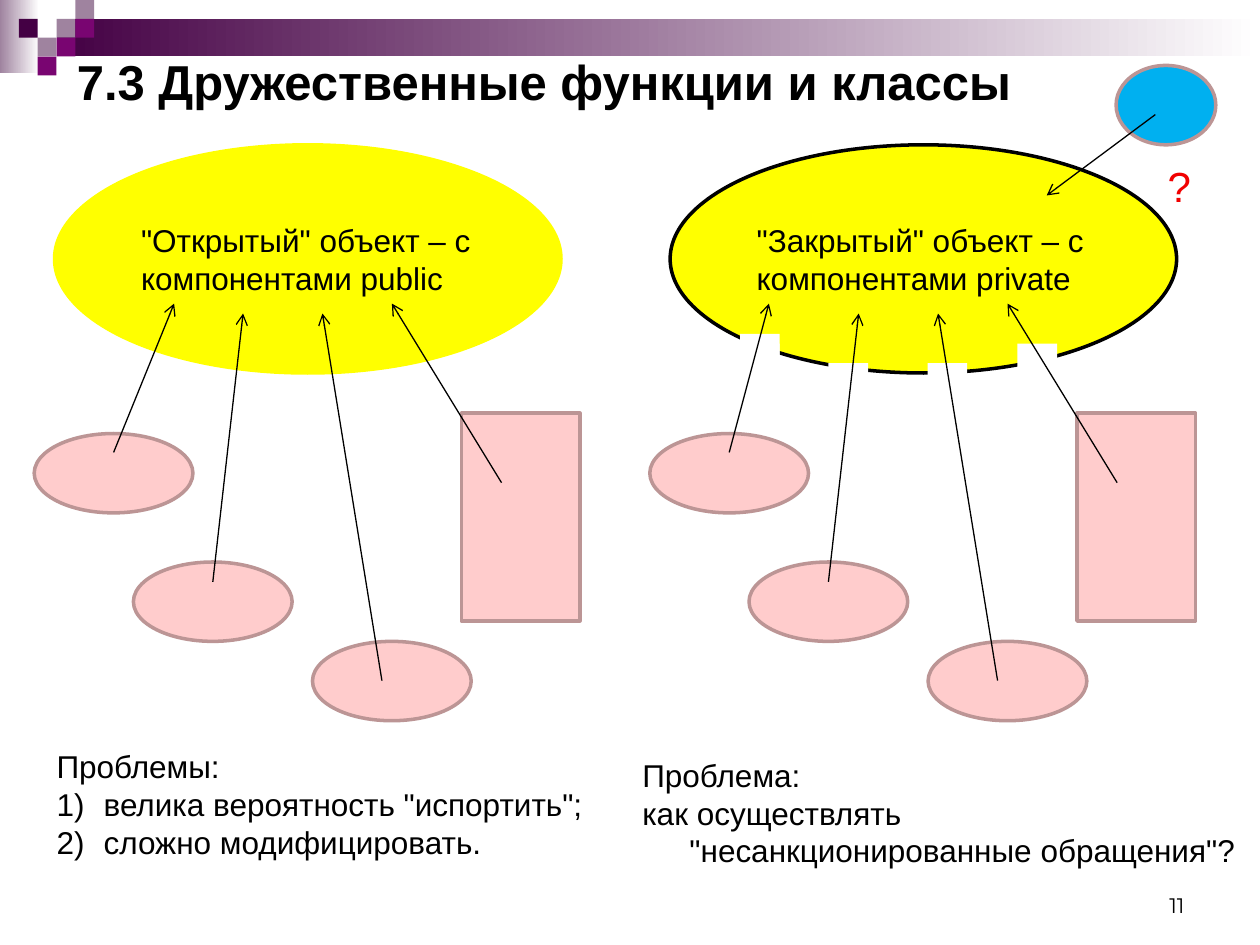
from lxml import etree
from pptx import Presentation
from pptx.dml.color import RGBColor
from pptx.enum.shapes import MSO_CONNECTOR, MSO_SHAPE
from pptx.enum.text import MSO_ANCHOR, PP_ALIGN
from pptx.oxml.ns import qn
from pptx.util import Cm, Pt

BLACK = RGBColor(0x00, 0x00, 0x00)
WHITE = RGBColor(0xFF, 0xFF, 0xFF)
YELLOW = RGBColor(0xFF, 0xFF, 0x00)
PINK = RGBColor(0xFF, 0xCC, 0xCC)
ROSE = RGBColor(0xBC, 0x95, 0x95)
BLUE = RGBColor(0x00, 0xB0, 0xF0)
RED = RGBColor(0xF1, 0x00, 0x00)
LILAC = RGBColor(0x9F, 0x83, 0x9F)
PLUM = RGBColor(0x79, 0x05, 0x71)
DARK = RGBColor(0x44, 0x00, 0x44)

RECT, OVAL = MSO_SHAPE.RECTANGLE, MSO_SHAPE.OVAL


def add_shape(s, kind, x, y, w, h, fill, line=None):
    """Add a flat preset shape; a fill of two colours is a left-to-right gradient."""
    sp = s.shapes.add_shape(kind, Cm(x), Cm(y), Cm(w), Cm(h))
    sp.shadow.inherit = False
    if isinstance(fill, RGBColor):
        sp.fill.solid()
        sp.fill.fore_color.rgb = fill
    else:
        sp.fill.gradient()
        sp.fill.gradient_angle = 0
        for stop, color, position in zip(sp.fill.gradient_stops, fill, (0, 1)):
            stop.color.rgb = color
            stop.position = position
    if line is None:
        sp.line.fill.background()
    else:
        sp.line.color.rgb = line
        sp.line.width = Pt(2)
    return sp


def add_arrow(s, x1, y1, x2, y2):
    """Add a thin black line with an open arrowhead at its end."""
    line = s.shapes.add_connector(MSO_CONNECTOR.STRAIGHT, Cm(x1), Cm(y1), Cm(x2), Cm(y2))
    line.line.color.rgb = BLACK
    line.line.width = Pt(0.75)
    etree.SubElement(line.line._get_or_add_ln(), qn("a:tailEnd"), type="arrow")
    etree.SubElement(line._element.spPr, qn("a:effectLst"))


def write(sp, lines, size=18, color=BLACK, font="Arial", bold=False,
          anchor=MSO_ANCHOR.TOP, align=PP_ALIGN.LEFT):
    """Fill a shape with formatted paragraphs."""
    tf = sp.text_frame
    tf.word_wrap = True
    tf.vertical_anchor = anchor
    tf.text = "\n".join(lines)
    for p in tf.paragraphs:
        p.alignment = align
        for r in p.runs:
            r.font.size, r.font.name, r.font.bold = Pt(size), font, bold
            r.font.color.rgb = color
    return tf


def add_text(s, x, y, w, h, lines, **style):
    """Add a text box and return its text frame."""
    return write(s.shapes.add_textbox(Cm(x), Cm(y), Cm(w), Cm(h)), lines, **style)


def add_banner(s, x, y):
    """Draw the gradient bars and the mosaic of squares at the top of the slide."""
    add_shape(s, RECT, x, y, 0.79, 1.47, (LILAC, WHITE))
    add_shape(s, RECT, x + 1.14, y + 0.38, 24.26, 0.76, (DARK, WHITE))
    side = 0.38
    squares = ((3, 1, LILAC), (4, 0, LILAC), (4, 1, PLUM), (2, 2, LILAC),
               (1, 1, DARK), (3, 2, PLUM), (2, 3, PLUM))
    for col, row, color in squares:
        add_shape(s, RECT, x + col * side, y + row * side, side, side, color)


def add_diagram(s, x, y, label, outline, first_tip, gaps=()):
    """Draw an object, the gaps in its outline and the four clients that access it."""
    sp = add_shape(s, OVAL, x + 0.41, y, 10.21, 4.6, YELLOW, outline)
    write(sp, [label], anchor=MSO_ANCHOR.MIDDLE)
    for dx, dy in gaps:
        add_shape(s, RECT, x + dx, y + dy, 0.8, 0.6, WHITE)
    for dx, dy in ((0, 5.82), (2, 8.41), (5.61, 10.01)):
        add_shape(s, OVAL, x + dx, y + dy, 3.2, 1.6, PINK, ROSE)
    add_shape(s, RECT, x + 8.61, y + 5.41, 2.39, 4.19, PINK, ROSE)
    arrows = ((1.6, 6.2, first_tip, 3.2), (3.6, 8.81, 4.21, 3.4),
              (7.01, 10.8, 5.81, 3.4), (9.42, 6.81, 7.21, 3.2))
    for x1, y1, x2, y2 in arrows:
        add_arrow(s, x + x1, y + y1, x + x2, y + y2)


def add_outsider(s, x, y):
    """Draw the blue outsider, its questionable access and the question mark."""
    add_shape(s, OVAL, x, y, 2.01, 1.6, BLUE, ROSE)
    add_arrow(s, x + 0.79, y + 0.99, x - 1.4, y + 2.62)
    add_text(s, x + 0.79, y + 1.8, 1.6, 1.27, ["?"], size=24, color=RED)


def add_problems(s, x, y, w, h, lines, numbered=False):
    """Write a heading and its problems with hanging indents."""
    tf = add_text(s, x, y, w, h, lines)
    for i, p in enumerate(tf.paragraphs):
        pPr = p._p.get_or_add_pPr()
        pPr.set("marL", str(Cm(0.95)))
        pPr.set("indent", str(-Cm(0.95)))
        if numbered and i:
            etree.SubElement(pPr, qn("a:buFont"), typeface="Arial")
            etree.SubElement(pPr, qn("a:buAutoNum"), type="arabicParenR")


def main():
    """Build the slide and save it."""
    prs = Presentation()
    prs.slide_width, prs.slide_height = Cm(25.4), Cm(19.05)
    s = prs.slides.add_slide(prs.slide_layouts[6])
    add_banner(s, 0, 0)
    add_text(s, 1.3, 0.53, 22.86, 2.21, ["7.3 Дружественные функции и классы"],
             size=28, bold=True, anchor=MSO_ANCHOR.MIDDLE)
    add_diagram(s, 0.69, 2.92, '"Открытый" объект – c компонентами public', YELLOW, 2.82)
    add_diagram(s, 13.1, 2.92, '"Закрытый" объект – c компонентами private', BLACK, 2.4,
                ((1.82, 3.81), (1.82, 4.01), (3.6, 4.4), (5.6, 4.4), (7.41, 4.01)))
    add_outsider(s, 22.5, 1.32)
    add_problems(s, 0.89, 14.94, 11.61, 3.3,
                 ["Проблемы:", 'велика вероятность "испортить";', "сложно модифицировать."],
                 numbered=True)
    add_problems(s, 12.7, 15.11, 12.7, 2.54,
                 ["Проблема:", 'как осуществлять "несанкционированные обращения"?'])
    add_text(s, 18.21, 17.35, 5.92, 1.27, ["11"], size=12, font="Montserrat",
             anchor=MSO_ANCHOR.BOTTOM, align=PP_ALIGN.RIGHT)
    prs.save("out.pptx")


if __name__ == "__main__":
    main()
